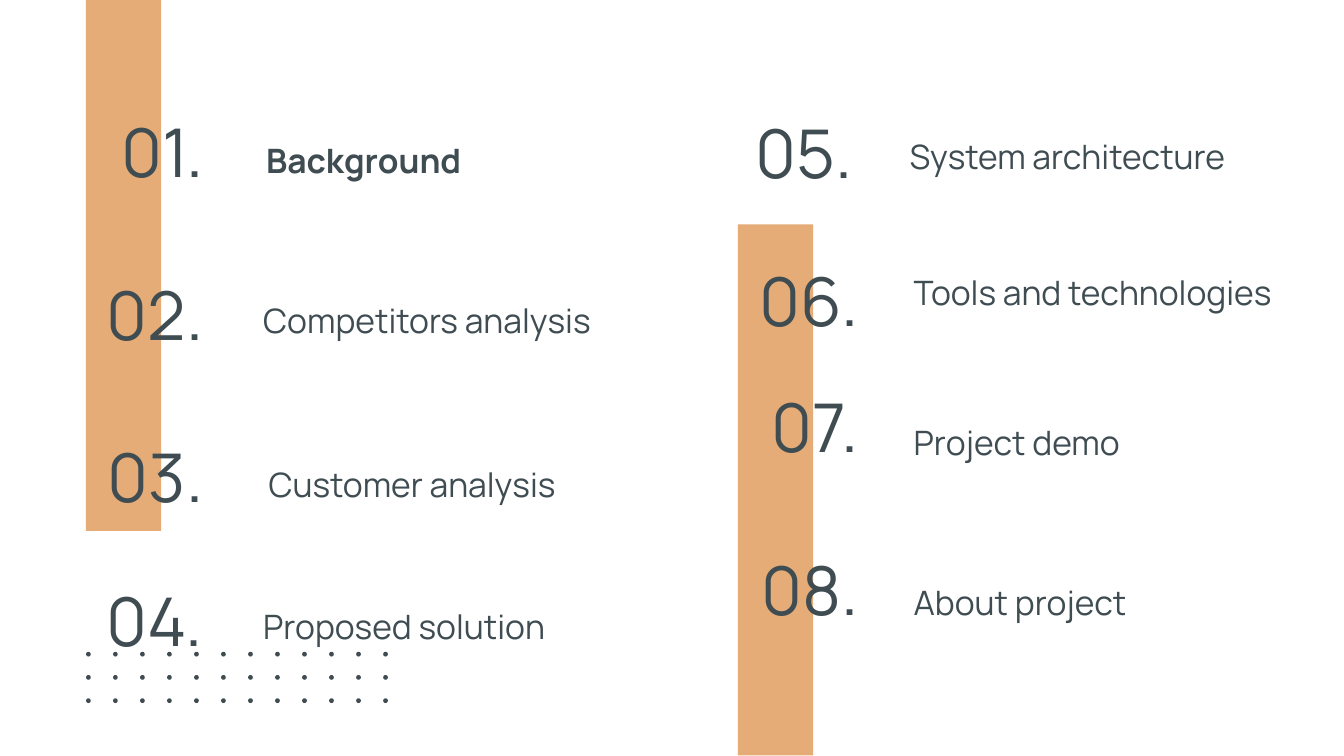
from pptx import Presentation
from pptx.dml.color import RGBColor
from pptx.enum.shapes import MSO_SHAPE as Preset
from pptx.enum.text import MSO_ANCHOR as Anchor, MSO_AUTO_SIZE as AutoSize, PP_ALIGN as Align
from pptx.util import Inches, Pt

CELL = 0.1
COLUMNS, ROWS = 100, 56.25


def cells(count):
    return Inches(count * CELL)


class Agenda:
    colors = {"paper": "FFFFFF", "ink": "3F4D53", "accent": "E5AC77"}
    font = "Manrope"
    number_size, topic_size = 36, 18

    def __init__(self, deck):
        self.slide = deck.slides.add_slide(deck.slide_layouts[5])
        fill = self.slide.background.fill
        fill.solid()
        fill.fore_color.rgb = self.color("paper")

    def color(self, role):
        return RGBColor.from_string(self.colors[role])

    def solid(self, preset, col, row, width, height, role):
        shape = self.slide.shapes.add_shape(
            preset, cells(col), cells(row), cells(width), cells(height))
        shape.shadow.inherit = False
        shape.fill.solid()
        shape.fill.fore_color.rgb = self.color(role)
        shape.line.fill.background()

    def bar(self, col, row):
        self.solid(Preset.RECTANGLE, col, row, 5.6, 39.5, "accent")

    def dots(self, col, row, across, down):
        for line in range(down):
            for place in range(across):
                self.solid(Preset.OVAL, col + 2.01 * place, row + 1.73 * line,
                           0.35, 0.35, "ink")

    def set_text(self, box, text, size, align, anchor, bold=False):
        frame = box.text_frame
        frame.word_wrap = True
        frame.auto_size = AutoSize.NONE
        frame.vertical_anchor = anchor
        frame.margin_left = frame.margin_right = cells(1)
        frame.margin_top = frame.margin_bottom = cells(1)
        line = frame.paragraphs[0]
        line.alignment = align
        run = line.add_run()
        run.text = text
        run.font.name = self.font
        run.font.size = Pt(size)
        run.font.bold = bold
        run.font.color.rgb = self.color("ink")

    def number(self, text, col, row):
        box = self.slide.shapes.add_textbox(
            cells(col), cells(row), cells(14.4), cells(5.9))
        self.set_text(box, text, self.number_size, Align.RIGHT, Anchor.BOTTOM)

    def topic(self, text, col, row):
        box = self.slide.shapes.add_textbox(
            cells(col), cells(row), cells(30.1), cells(4.8))
        self.set_text(box, text, self.topic_size, Align.LEFT, Anchor.TOP)

    def title(self, text, col, row):
        heading = self.slide.shapes.title
        heading.left, heading.top = cells(col), cells(row)
        heading.width, heading.height = cells(30.1), cells(4.8)
        self.set_text(heading, text, self.topic_size, Align.LEFT, Anchor.TOP, bold=True)


def main():
    deck = Presentation()
    deck.slide_width, deck.slide_height = cells(COLUMNS), cells(ROWS)
    agenda = Agenda(deck)

    agenda.bar(6.4, 0)
    agenda.bar(54.9, 16.7)
    agenda.dots(6.4, 48.5, across=12, down=3)

    agenda.title("Background", 18.8, 9.4)
    entries = [
        ((1.7, 9.3), None, None),
        ((1.7, 21.4), "Competitors analysis", (18.6, 21.3)),
        ((1.7, 33.5), "Customer analysis", (19, 33.5)),
        ((1.7, 44.2), "Proposed solution", (18.6, 44.1)),
        ((50, 9.4), "System architecture", (66.7, 9.1)),
        ((50.5, 20.4), "Tools and technologies", (67, 19.2)),
        ((50.5, 29.8), "Project demo", (67, 30.4)),
        ((50.5, 41.9), "About project", (67, 42.3)),
    ]
    for order, (number_place, topic, topic_place) in enumerate(entries, start=1):
        agenda.number(f"{order:02d}.", *number_place)
        if topic:
            agenda.topic(topic, *topic_place)

    deck.save("out.pptx")


if __name__ == "__main__":
    main()
